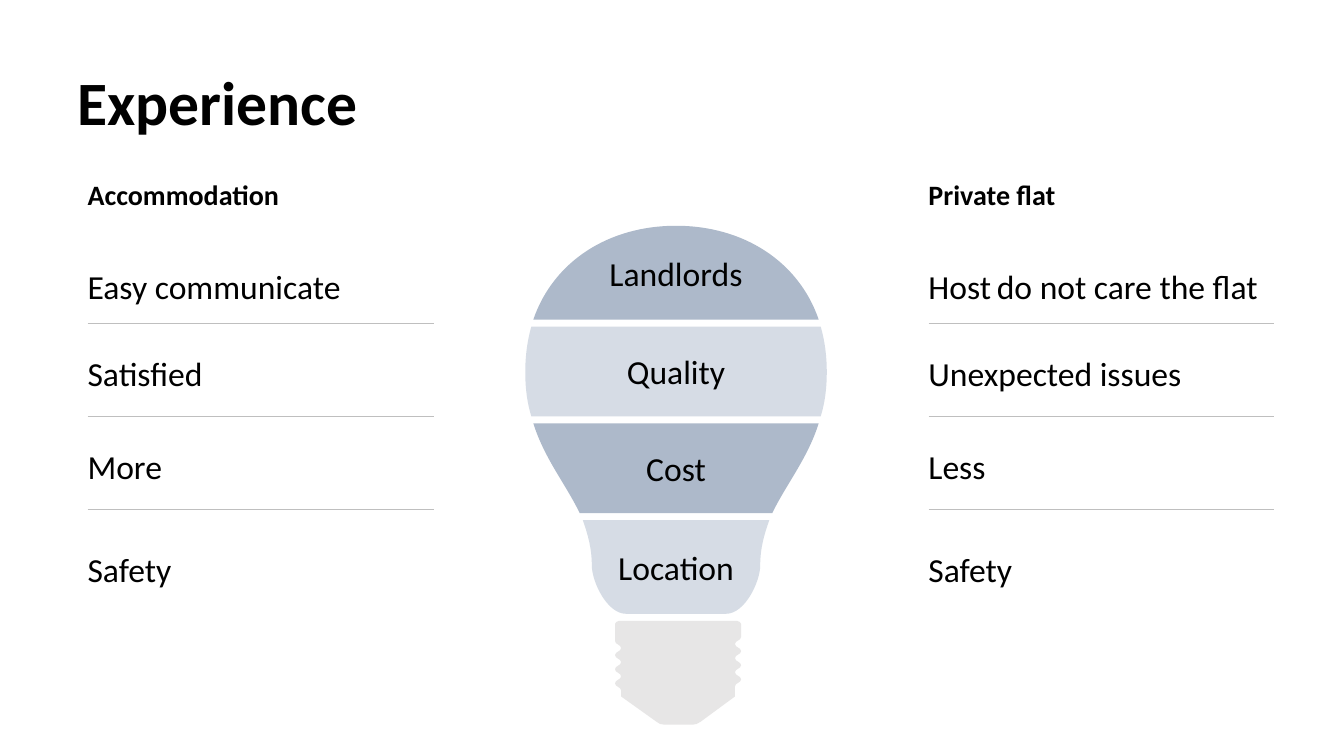
"""Build the Experience slide: two lists on either side of a banded light bulb."""
from dataclasses import dataclass

from lxml import etree
from pptx import Presentation
from pptx.dml.color import RGBColor
from pptx.enum.shapes import MSO_CONNECTOR
from pptx.enum.text import MSO_ANCHOR, PP_ALIGN
from pptx.oxml.ns import qn
from pptx.util import Inches, Pt

STRAIGHT = MSO_CONNECTOR.STRAIGHT
TOP, MIDDLE, BOTTOM = MSO_ANCHOR.TOP, MSO_ANCHOR.MIDDLE, MSO_ANCHOR.BOTTOM
LEFT, CENTER = PP_ALIGN.LEFT, PP_ALIGN.CENTER


@dataclass(frozen=True)
class Theme:
    """Colours, font and type sizes of the slide."""
    font: str = "Calibri"
    ink: str = "000000"
    rule: str = "BFBFBF"
    dark: str = "ADB9CA"
    light: str = "D6DCE5"
    base: str = "E7E6E6"
    title: int = 44
    head: int = 20
    body: int = 24
    gap: int = 18


THEME = Theme()
SPAN = 13.41
ROW_TOPS = (2.39, 3.25, 4.17, 5.2)
LISTS = (
    (0.77, "Accommodation",
     ("Easy communicate", "Satisfied", "More", "Safety")),
    (9.11, "Private flat",
     (("Host", " ", "do not care the flat"), "Unexpected issues", "Less", "Safety")),
)
BANDS = (
    ("Landlords", THEME.dark, (SPAN / 2, 2.24),
     [(6.04, 2.24, 5.49, 2.59, 5.29, 3.17)]),
    ("Quality", THEME.light, (5.27, 3.24),
     [(5.23, 3.38, 5.21, 3.53, 5.21, 3.69), (5.21, 3.86, 5.23, 4, 5.27, 4.13)]),
    ("Cost", THEME.dark, (5.29, 4.2),
     [(5.4, 4.55, 5.61, 4.8, 5.75, 5.09)]),
    ("Location", THEME.light, (5.78, 5.16),
     [(5.83, 5.3, 5.87, 5.44, 5.87, 5.61), (5.87, 5.77, 6.02, 6.09, 6.21, 6.09)]),
)


def style(frame, size, bold=False, align=LEFT, anchor=TOP, space=1.0):
    """Format all the text of a frame."""
    frame.vertical_anchor = anchor
    for para in frame.paragraphs:
        para.alignment = align
        para.line_spacing = space
        for run in para.runs:
            font = run.font
            font.name, font.size, font.bold = THEME.font, Pt(size), bold
            font.color.rgb = RGBColor.from_string(THEME.ink)


def add_text(slide, left, top, high, text, size, **look):
    """Add a text box; a tuple of text becomes separate runs."""
    box = slide.shapes.add_textbox(
        Inches(left), Inches(top), Inches(3.52), Inches(high))
    frame = box.text_frame
    frame.word_wrap = True
    para = frame.paragraphs[0]
    for part in (text,) if isinstance(text, str) else text:
        para.add_run().text = part
    style(frame, size, **look)
    for run in para.runs:
        if run.text == " ":
            run.font.size = Pt(THEME.gap)


def add_rule(slide, left, top):
    """Add a thin level line under a row."""
    line = slide.shapes.add_connector(
        STRAIGHT, Inches(left), Inches(top), Inches(left + 3.43), Inches(top))
    line.line.color.rgb = RGBColor.from_string(THEME.rule)
    line.line.width = Pt(0.25)
    etree.SubElement(line._element.spPr, qn("a:effectLst"))


def add_list(slide, left, head, rows):
    """Add a bold heading with ruled rows below it."""
    add_text(slide, left, 1.6, 0.54, head, THEME.head, bold=True, anchor=BOTTOM)
    for top, text in zip(ROW_TOPS, rows):
        add_text(slide, left, top, 0.75, text, THEME.body, space=1.5)
    for i in range(len(rows) - 1):
        add_rule(slide, left + 0.1, 3.21 + 0.92 * i)


def bend(form, parts):
    """Turn the line segments of a form into cubic curves where parts ask for it."""
    for line, part in zip(list(form._element.iter(qn("a:lnTo"))), parts):
        if len(part) == 6:
            curve = etree.Element(qn("a:cubicBezTo"))
            for x, y in zip(part[::2], part[1::2]):
                etree.SubElement(curve, qn("a:pt"), x=str(Inches(x) - form.left),
                                 y=str(Inches(y) - form.top))
            line.getparent().replace(line, curve)


def add_form(slide, start, parts, color):
    """Add a closed, filled outline of lines (2 numbers) and curves (6)."""
    pen = slide.shapes.build_freeform(Inches(start[0]), Inches(start[1]))
    pen.add_line_segments(
        [(Inches(part[-2]), Inches(part[-1])) for part in parts], close=True)
    form = pen.convert_to_shape()
    bend(form, parts)
    form.shadow.inherit = False
    form.fill.solid()
    form.fill.fore_color.rgb = RGBColor.from_string(color)
    form.line.fill.background()
    return form


def mirror(start, curves):
    """Return the right edge that leads back up from the left one."""
    ends = [start, *(curve[-2:] for curve in curves)]
    twin = [(SPAN - ends[-1][0], ends[-1][1])]
    for (x0, y0), (x1, y1, x2, y2, _, _) in reversed(list(zip(ends, curves))):
        twin.append((SPAN - x2, y2, SPAN - x1, y1, SPAN - x0, y0))
    return twin


def add_band(slide, text, color, start, curves):
    """Add a bulb band, mirrored from its left edge."""
    form = add_form(slide, start, curves + mirror(start, curves), color)
    frame = form.text_frame
    frame.text = text
    frame.word_wrap = False
    style(frame, THEME.body, align=CENTER, anchor=MIDDLE)


def thread(xs, top, step):
    """Return the curves of a screw thread that swings between two sides."""
    curves = []
    for i in range(7):
        here, there = xs[i % 2], xs[(i + 1) % 2]
        mid = top + step * (i + 0.5)
        curves.append((here, mid, there, mid, there, top + step * (i + 1)))
    return curves


def add_base(slide):
    """Add the screw base of the bulb."""
    parts = [(7.35, 6.19), (7.35, 6.18, 7.33, 6.16, 7.31, 6.16), (6.14, 6.16),
             (6.12, 6.16, 6.1, 6.18, 6.1, 6.19), (6.1, 6.36),
             *thread((6.1, 6.16), 6.36, 0.07),
             (6.16, 6.91), (6.51, 7.16), (6.53, 7.18, 6.56, 7.19, 6.59, 7.19),
             (6.87, 7.19), (6.9, 7.19, 6.92, 7.18, 6.95, 7.16),
             (7.29, 6.91), (7.29, 6.81),
             *thread((7.29, 7.35), 6.81, -0.07)]
    add_form(slide, (7.35, 6.32), parts, THEME.base)


def add_title(slide, text):
    """Place and format the title."""
    title = slide.shapes.title
    title.left, title.top = Inches(0.67), Inches(0.65)
    title.width, title.height = Inches(11.97), Inches(0.79)
    title.text_frame.text = text
    style(title.text_frame, THEME.title, bold=True, anchor=MIDDLE, space=0.9)


def main():
    """Build and save the slide."""
    deck = Presentation()
    deck.slide_width, deck.slide_height = Inches(13.33), Inches(7.5)
    slide = deck.slides.add_slide(deck.slide_layouts[5])
    add_title(slide, "Experience")
    for column in LISTS:
        add_list(slide, *column)
    add_base(slide)
    for band in BANDS:
        add_band(slide, *band)
    deck.save("out.pptx")


if __name__ == "__main__":
    main()
